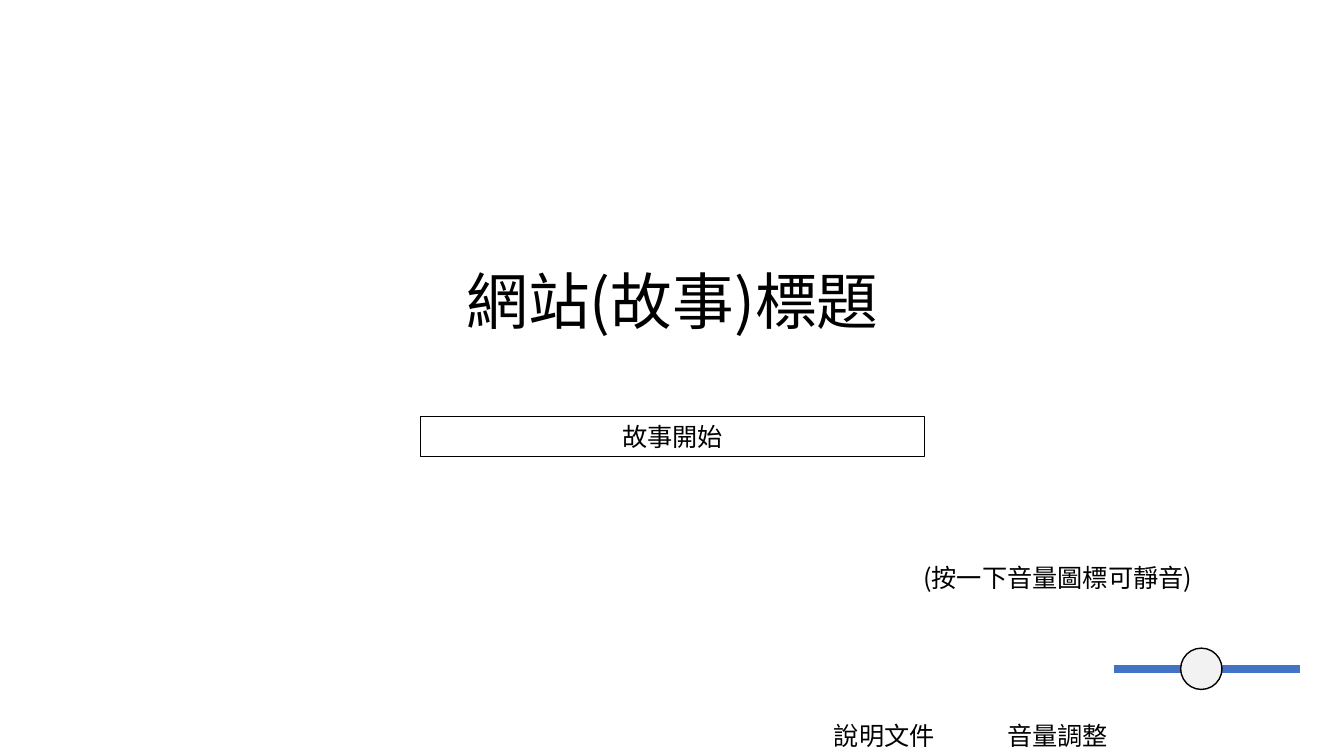
from lxml.etree import SubElement
from pptx import Presentation
from pptx.dml.color import RGBColor
from pptx.enum.shapes import MSO_CONNECTOR, MSO_SHAPE
from pptx.enum.text import MSO_ANCHOR, MSO_AUTO_SIZE, PP_ALIGN
from pptx.oxml.ns import qn
from pptx.util import Inches, Pt

BLACK = RGBColor(0x00, 0x00, 0x00)
BLUE = RGBColor(0x44, 0x72, 0xC4)
PALE_GRAY = RGBColor(0xF2, 0xF2, 0xF2)
FONT = "Noto Sans CJK SC"
LINE_HEIGHT = 0.4


def add_text(slide, text, box, size=18, anchor=MSO_ANCHOR.TOP, spacing=None, grow=True):
    label = slide.shapes.add_textbox(*map(Inches, box))
    frame = label.text_frame
    frame.word_wrap = True
    frame.vertical_anchor = anchor
    frame.auto_size = MSO_AUTO_SIZE.SHAPE_TO_FIT_TEXT if grow else MSO_AUTO_SIZE.NONE
    para = frame.paragraphs[0]
    para.alignment = PP_ALIGN.CENTER
    if spacing:
        para.line_spacing = spacing
    span = para.add_run()
    span.text = text
    span.font.name = FONT
    span.font.size = Pt(size)
    span.font.color.rgb = BLACK
    SubElement(span.font._element, qn("a:ea"), typeface=FONT)
    return label


def add_start_panel(slide, box):
    left, top, width, height = box
    add_text(slide, "網站(故事)標題", (left, top, width, 1.45), size=44,
             anchor=MSO_ANCHOR.MIDDLE, spacing=0.9, grow=False)
    button_width = 5
    button = add_text(slide, "故事開始", (left + (width - button_width) / 2,
                                      top + height - LINE_HEIGHT, button_width, LINE_HEIGHT))
    button.line.color.rgb = BLACK
    button.line.width = Pt(0.75)


def add_volume_slider(slide, box):
    left, top, width, height = box
    middle = Inches(top + height / 2)
    track = slide.shapes.add_connector(
        MSO_CONNECTOR.STRAIGHT, Inches(left), middle, Inches(left + width), middle)
    track.line.color.rgb = BLUE
    track.line.width = Pt(6)
    SubElement(track._element.spPr, qn("a:effectLst"))

    knob = slide.shapes.add_shape(
        MSO_SHAPE.FLOWCHART_CONNECTOR, Inches(left + 0.66), Inches(top),
        Inches(height), Inches(height))
    knob.shadow.inherit = False
    knob.fill.solid()
    knob.fill.fore_color.rgb = PALE_GRAY
    knob.line.color.rgb = BLACK
    knob.line.width = Pt(1)


def add_controls(slide, box):
    left, top, width, height = box
    add_volume_slider(slide, (left + 2.91, top + 0.9, 1.84, 0.41))
    for index, caption in enumerate(("說明文件", "音量調整")):
        add_text(slide, caption,
                 (left + 1.72 * index, top + height - LINE_HEIGHT, 1.26, LINE_HEIGHT))
    add_text(slide, "(按一下音量圖標可靜音)", (left + 0.58, top, 3.54, LINE_HEIGHT))


deck = Presentation()
deck.slide_width = Inches(13.33)
deck.slide_height = Inches(7.5)
page = deck.slides.add_slide(deck.slide_layouts[6])
add_start_panel(page, (0.92, 2.3, 11.5, 2.23))
add_controls(page, (8.14, 5.53, 4.75, 1.97))
deck.save("out.pptx")
